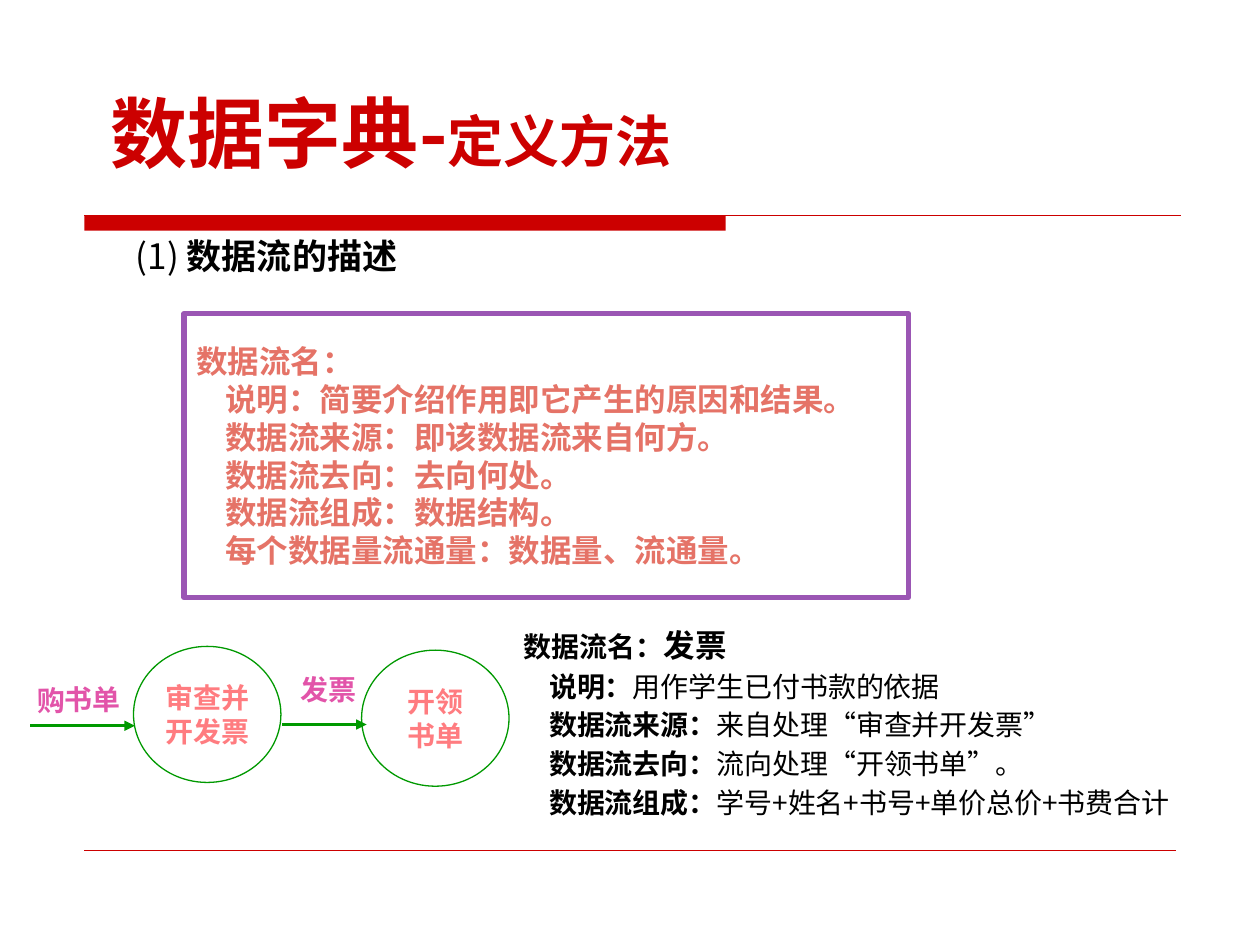
from lxml.etree import SubElement
from pptx import Presentation
from pptx.dml.color import RGBColor
from pptx.enum.shapes import MSO_CONNECTOR, MSO_SHAPE
from pptx.enum.text import MSO_ANCHOR, MSO_AUTO_SIZE, PP_ALIGN
from pptx.oxml.ns import qn
from pptx.util import Inches, Pt

RED = RGBColor(0xCC, 0x00, 0x00)
BLACK = RGBColor(0x00, 0x00, 0x00)
WHITE = RGBColor(0xFF, 0xFF, 0xFF)
PURPLE = RGBColor(0x9B, 0x56, 0xB4)
CORAL = RGBColor(0xE5, 0x73, 0x67)
PINK = RGBColor(0xFF, 0x7C, 0x80)
MAGENTA = RGBColor(0xE2, 0x54, 0xA9)
GREEN = RGBColor(0x00, 0x99, 0x00)
SANS, SERIF = "Noto Sans CJK SC", "Times New Roman"

# Every paragraph is a list of runs: (text, size, bold)
TITLE = [[("数据字典-", 44, True), ("定义方法", 32, True)]]
HEADING = [[("(1) ", 20, False), ("数据流的描述", 20, True)]]
TEMPLATE = [[(text, 18, True)] for text in (
    "数据流名：",
    "说明：简要介绍作用即它产生的原因和结果。",
    "数据流来源：即该数据流来自何方。",
    "数据流去向：去向何处。",
    "数据流组成：数据结构。",
    "每个数据量流通量：数据量、流通量。",
)]
EXAMPLE = [[("数据流名：", 16, True), ("发票", 18, True)]] + [
    [(label, 16, True), (value, 16, False)] for label, value in (
        ("说明：", "用作学生已付书款的依据"),
        ("数据流来源：", "来自处理“审查并开发票”"),
        ("数据流去向：", "流向处理“开领书单”。"),
        ("数据流组成：", "学号+姓名+书号+单价总价+书费合计"),
    )
]
PROCESSES = [(1.06, 5.13, ("审查并", "开发票")), (2.87, 5.16, ("开领", "书单"))]
PROCESS_SIZE = (1.17, 1.08)
FLOWS = [  # label, label box, rotation, arrow start, arrow end, arrow height
    ("购书单", (0.14, 5.37, 0.97, 0.37), 359.2, 0.24, 1.07, 5.76),
    ("发票", (2.23, 5.29, 0.75, 0.37), 0, 2.24, 2.91, 5.75),
]


def write(shape, paragraphs, color, font=SANS, align=PP_ALIGN.LEFT,
          anchor=MSO_ANCHOR.MIDDLE, wrap=False, indent=0, spacing=None):
    """Fill a shape with text; indent and spacing apply after the first paragraph."""
    frame = shape.text_frame
    frame.auto_size = MSO_AUTO_SIZE.NONE
    frame.word_wrap = wrap
    frame.vertical_anchor = anchor
    for index, runs in enumerate(paragraphs):
        paragraph = frame.add_paragraph() if index else frame.paragraphs[0]
        paragraph.alignment = align
        if index and indent:
            paragraph._p.get_or_add_pPr().set("marL", str(Inches(indent)))
        if index and spacing:
            paragraph.line_spacing = spacing
        paragraph.font.color.rgb = color
        paragraph.font.name = font
        defaults = paragraph._p.pPr.find(qn("a:defRPr"))
        SubElement(defaults, qn("a:ea")).set("typeface", SANS)
        for text, size, bold in runs:
            run = paragraph.add_run()
            run.text = text
            run.font.size = Pt(size)
            run.font.bold = bold


def add_box(slide, kind, box, fill=None, line=None, width=0.75):
    shape = slide.shapes.add_shape(kind, *map(Inches, box))
    shape.shadow.inherit = False
    if fill is None:
        shape.fill.background()
    else:
        shape.fill.solid()
        shape.fill.fore_color.rgb = fill
    if line is None:
        shape.line.fill.background()
    else:
        shape.line.color.rgb = line
        shape.line.width = Pt(width)
    return shape


def add_line(slide, left, right, top, color, width, arrow=False):
    line = slide.shapes.add_connector(
        MSO_CONNECTOR.STRAIGHT, Inches(left), Inches(top), Inches(right), Inches(top))
    line.line.color.rgb = color
    line.line.width = Pt(width)
    if arrow:
        SubElement(line.line._get_or_add_ln(), qn("a:tailEnd")).set("type", "triangle")
    SubElement(line._element.spPr, qn("a:effectLst"))


def add_label(slide, box):
    return slide.shapes.add_textbox(*map(Inches, box))


def main():
    presentation = Presentation()
    presentation.slide_width, presentation.slide_height = Inches(10), Inches(7.5)
    slide = presentation.slides.add_slide(presentation.slide_layouts[5])

    add_box(slide, MSO_SHAPE.RECTANGLE, (0.67, 1.71, 5.09, 0.12), RED)
    add_line(slide, 0.67, 9.37, 1.71, RED, 0.75)
    add_line(slide, 0.67, 9.33, 6.75, RED, 0.25)

    title = slide.shapes.title
    title.left, title.top, title.width, title.height = map(
        Inches, (0.63, 0.41, 8.75, 1.05))
    title.text_frame.margin_left = Inches(0.25)
    write(title, TITLE, RED, anchor=MSO_ANCHOR.BOTTOM, wrap=True)

    template = add_box(slide, MSO_SHAPE.RECTANGLE, (1.46, 2.49, 5.75, 2.25),
                       WHITE, PURPLE, 3)
    write(template, TEMPLATE, CORAL, wrap=True, indent=0.23)
    write(add_label(slide, (0.98, 1.81, 3, 0.77)), HEADING, BLACK,
          anchor=MSO_ANCHOR.TOP, wrap=True)
    example = add_box(slide, MSO_SHAPE.RECTANGLE, (4.06, 4.85, 5.42, 1.77), WHITE)
    write(example, EXAMPLE, BLACK, indent=0.2, spacing=1.15)

    for left, top, lines in PROCESSES:
        process = add_box(slide, MSO_SHAPE.OVAL, (left, top, *PROCESS_SIZE), line=GREEN)
        write(process, [[(line, 16, True)] for line in lines], PINK, SERIF,
              PP_ALIGN.CENTER)

    for text, box, rotation, start, end, height in FLOWS:
        label = add_label(slide, box)
        label.rotation = rotation
        write(label, [[(text, 16, True)]], MAGENTA, SERIF, PP_ALIGN.CENTER,
              MSO_ANCHOR.TOP, wrap=True)
        add_line(slide, start, end, height, GREEN, 1.5, arrow=True)

    presentation.save("out.pptx")


if __name__ == "__main__":
    main()
